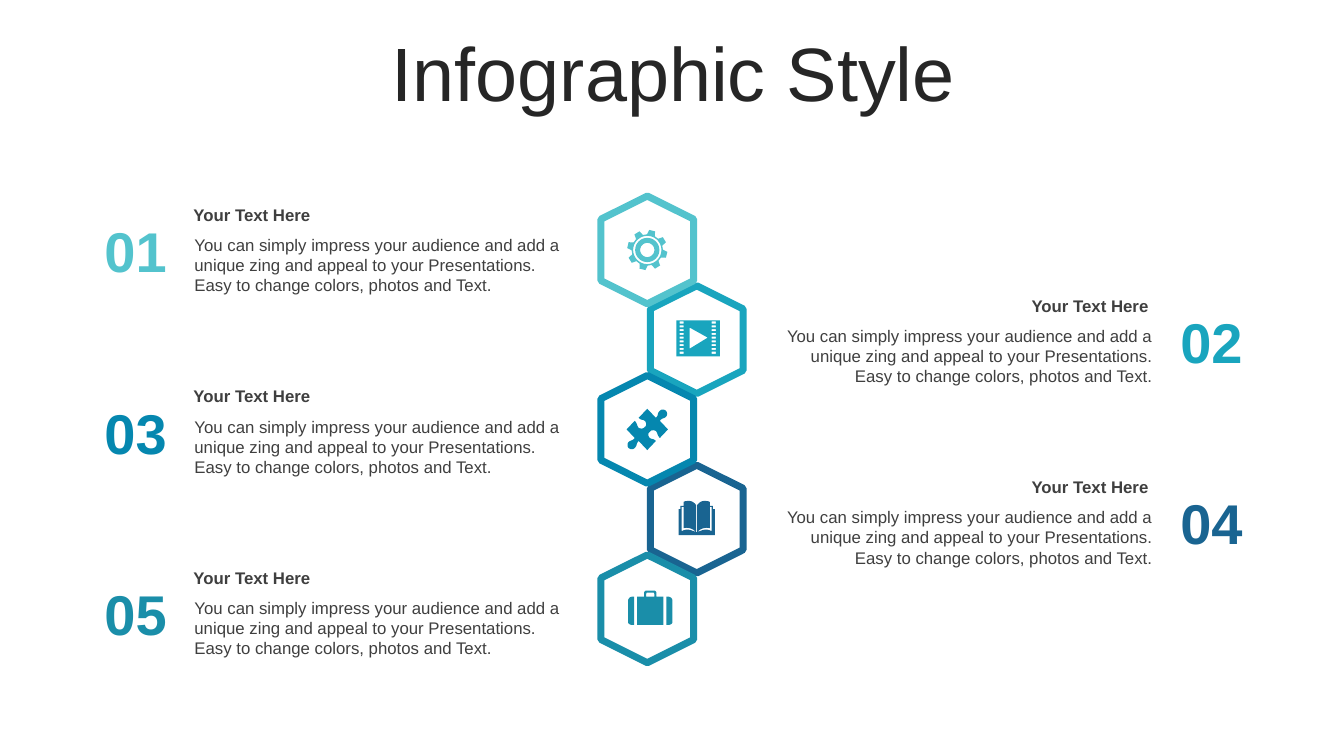
from math import cos, radians, sin

from pptx import Presentation
from pptx.dml.color import RGBColor
from pptx.enum.shapes import MSO_SHAPE
from pptx.enum.text import MSO_ANCHOR, MSO_AUTO_SIZE, PP_ALIGN
from pptx.util import Inches, Pt

LEFT, CENTER, RIGHT = PP_ALIGN.LEFT, PP_ALIGN.CENTER, PP_ALIGN.RIGHT
MIDDLE = MSO_ANCHOR.MIDDLE
GROW, FIXED = MSO_AUTO_SIZE.SHAPE_TO_FIT_TEXT, MSO_AUTO_SIZE.NONE
HEXAGON = MSO_SHAPE.HEXAGON

FONT = "Arial"
COLORS = {
    "title": "262626", "text": "3F3F3F", "white": "FFFFFF",
    "gear": "53C3CD", "film": "19A5BE", "puzzle": "0587AF",
    "book": "196491", "case": "1A8EA9",
}
TITLE = "Infographic Style"
HEAD = "Your Text Here"
BODY = ("You can simply impress your audience and add a unique zing and "
        "appeal to your Presentations. Easy to change colors, photos and Text.")
STEPS = [
    ("01", "gear", HEAD, BODY),
    ("02", "film", HEAD, BODY),
    ("03", "puzzle", HEAD, BODY),
    ("04", "book", HEAD, BODY),
    ("05", "case", HEAD, BODY),
]
STACK = [3, 1, 2, 0, 4]  # hexagons from back to front

# Left, width of the number, heading and body boxes, and the hexagon centre
SIDES = [
    {"num": (0.93, 0.83), "head": (1.82, 3.94), "body": (1.83, 3.98),
     "hex": 6.42, "align": LEFT},
    {"num": (11.6, 0.83), "head": (7.56, 3.93), "body": (7.57, 3.96),
     "hex": 6.91, "align": RIGHT},
]
TEXT_TOP, TEXT_STEP = 1.98, 0.9
HEX_MID, HEX_STEP = 2.48, 0.89
HEX_W, HEX_H = 1.07, 0.92

# Icon outlines in hundredths of an inch from the hexagon centre:
# two numbers are a corner, six are a curve.
PUZZLE = [
    (18.5, -18.5), (19.5, -17.5, 20.5, -14.5, 18.5, -12.5),
    (16.5, -10.5, 14.5, -11.5, 12.5, -8.5), (20.5, 0), (12.5, 8.5),
    (9.5, 5.5, 10.5, 3.5, 8.5, 1.5), (6.5, 0.5, 3.5, 0.5, 2.5, 2.5),
    (0.5, 3.5, 0.5, 6.5, 2.5, 8.5), (5.5, 10.5, 5.5, 8.5, 8.5, 11.5),
    (0, 20.5), (-8.5, 11.5), (-11.5, 14.5, -9.5, 15.5, -12.5, 18.5),
    (-14.5, 20.5, -17.5, 19.5, -18.5, 18.5),
]
PAGE = [
    (-0.5, -14), (-3, -17, -5, -18, -8, -18), (-10, -18, -11, -18, -13, -17),
    (-13, 9), (-9, 8, -4, 9, -0.5, 13),
]
COVER = [
    (-13, -13), (-16, -13), (-16, -10), (-18, -10), (-18, 16), (0, 16),
    (0, 13), (-6, 11, -9, 9, -15, 12), (-15, -12), (-13, -12),
]
CASE_END = [
    (16, -12), (18, -12), (20, -12, 22, -10, 22, -8), (22, 13),
    (22, 15, 20, 16, 18, 16), (16, 16),
]
CASE_BODY = [
    (-13, 16), (-13, -12), (-6, -12), (-6, -16), (-6, -17, -5, -18, -4, -18),
    (4, -18), (5, -18, 6, -17, 6, -16), (6, -12), (13, -12), (13, 16),
]
CASE_GRIP = [
    (-4, -12), (-4, -14), (-4, -15, -4, -16, -3, -16),
    (3, -16), (4, -16, 4, -15, 4, -14), (4, -12),
]


def turn(loop, sx, sy):
    """Scale the x and y values of an outline, here by 1 or -1."""
    return [tuple(v * (sy if i % 2 else sx) for i, v in enumerate(step))
            for step in loop]


def shift(loop, dx):
    return [tuple(v + (0 if i % 2 else dx) for i, v in enumerate(step))
            for step in loop]


def box(x, y, w, h):
    return [(x, y), (x + w, y), (x + w, y + h), (x, y + h)]


def spot(rad, deg):
    return rad * cos(radians(deg)), rad * sin(radians(deg))


def ring(rad):
    return [spot(rad, deg) for deg in range(0, 360, 6)]


def gear():
    teeth = [spot(rad, -76 + 45 * n + deg) for n in range(8)
             for rad, deg in ((15.5, -15), (20, -8.5), (20, 8.5), (15.5, 15))]
    return [teeth, ring(14), ring(12), ring(7)]


def film():
    holes = [box(x, -18 + 3.75 * n, 4, 2) for n in range(9) for x in (-17, 15)]
    play = [(-7, -12), (-7, 9), (11, -2)]
    return [box(-20, -19, 43, 35.5), play] + holes


ICONS = {
    "gear": gear(),
    "film": film(),
    "puzzle": [PUZZLE + turn(PUZZLE, -1, -1)],
    "book": [turn(loop, sx, 1) for loop in (PAGE, COVER) for sx in (1, -1)],
    "case": [shift(loop, 3) for loop in
             (CASE_END, turn(CASE_END, -1, 1), CASE_BODY, CASE_GRIP)],
}


def trace(loop):
    """Turn corners and curves into points, in thousandths of an inch."""
    dots = []
    for step in loop:
        if len(step) == 2:
            dots.append(step)
            continue
        (ax, ay), (bx, by, cx, cy, dx, dy) = dots[-1], step
        for n in range(1, 9):
            t = n / 8
            u = 1 - t
            k = (u ** 3, 3 * u * u * t, 3 * u * t * t, t ** 3)
            dots.append((k[0] * ax + k[1] * bx + k[2] * cx + k[3] * dx,
                         k[0] * ay + k[1] * by + k[2] * cy + k[3] * dy))
    return [(10 * x, 10 * y) for x, y in dots]


def tint(name):
    return RGBColor.from_string(COLORS[name])


def paint(shape, name):
    shape.shadow.inherit = False
    shape.fill.solid()
    shape.fill.fore_color.rgb = tint(name)


def write(frame, text, size, color, align, bold=False):
    para = frame.paragraphs[0]
    para.alignment = align
    run = para.add_run()
    run.text = text
    font = run.font
    font.name, font.size, font.bold = FONT, Pt(size), bold
    font.color.rgb = tint(color)
    return para


def add_text(slide, span, top, high, *style):
    left, wide = span
    area = slide.shapes.add_textbox(
        Inches(left), Inches(top), Inches(wide), Inches(high))
    area.text_frame.word_wrap = True
    area.text_frame.auto_size = GROW
    write(area.text_frame, *style)


def add_hex(slide, x, y, color):
    cell = slide.shapes.add_shape(
        HEXAGON, Inches(x - HEX_W / 2), Inches(y - HEX_H / 2),
        Inches(HEX_W), Inches(HEX_H))
    cell.adjustments[0] = 0.25
    cell.rotation = 90
    paint(cell, "white")
    cell.line.color.rgb = tint(color)
    cell.line.width = Pt(5)


def add_icon(slide, x, y, name):
    loops = [trace(loop) for loop in ICONS[name]]
    pen = slide.shapes.build_freeform(*loops[0][0], scale=Inches(1) / 1000)
    pen.add_line_segments(loops[0][1:])
    for loop in loops[1:]:
        pen.move_to(*loop[0])
        pen.add_line_segments(loop[1:])
    icon = pen.convert_to_shape(Inches(x), Inches(y))
    paint(icon, name)
    icon.line.fill.background()


def add_title(slide):
    title = slide.shapes.title
    title.left, title.top = Inches(0.35), Inches(0.37)
    title.width, title.height = Inches(12.66), Inches(0.79)
    frame = title.text_frame
    frame.word_wrap, frame.auto_size = True, FIXED
    frame.vertical_anchor = MIDDLE
    write(frame, TITLE, 54, "title", CENTER).line_spacing = 0.9


def main():
    deck = Presentation()
    deck.slide_width, deck.slide_height = Inches(13.33), Inches(7.5)
    slide = deck.slides.add_slide(deck.slide_layouts[5])
    add_title(slide)
    mids = [(SIDES[n % 2]["hex"], HEX_MID + HEX_STEP * n)
            for n in range(len(STEPS))]
    for n in STACK:
        add_hex(slide, *mids[n], STEPS[n][1])
    for n, (num, name, head, body) in enumerate(STEPS):
        side, top = SIDES[n % 2], TEXT_TOP + TEXT_STEP * n
        add_text(slide, side["num"], top + 0.12, 0.77,
                 num, 40, name, CENTER, True)
        add_text(slide, side["body"], top + 0.3, 0.71,
                 body, 12, "text", side["align"])
        add_text(slide, side["head"], top, 0.3,
                 head, 12, "text", side["align"], True)
        add_icon(slide, *mids[n], name)
    deck.save("out.pptx")


if __name__ == "__main__":
    main()
